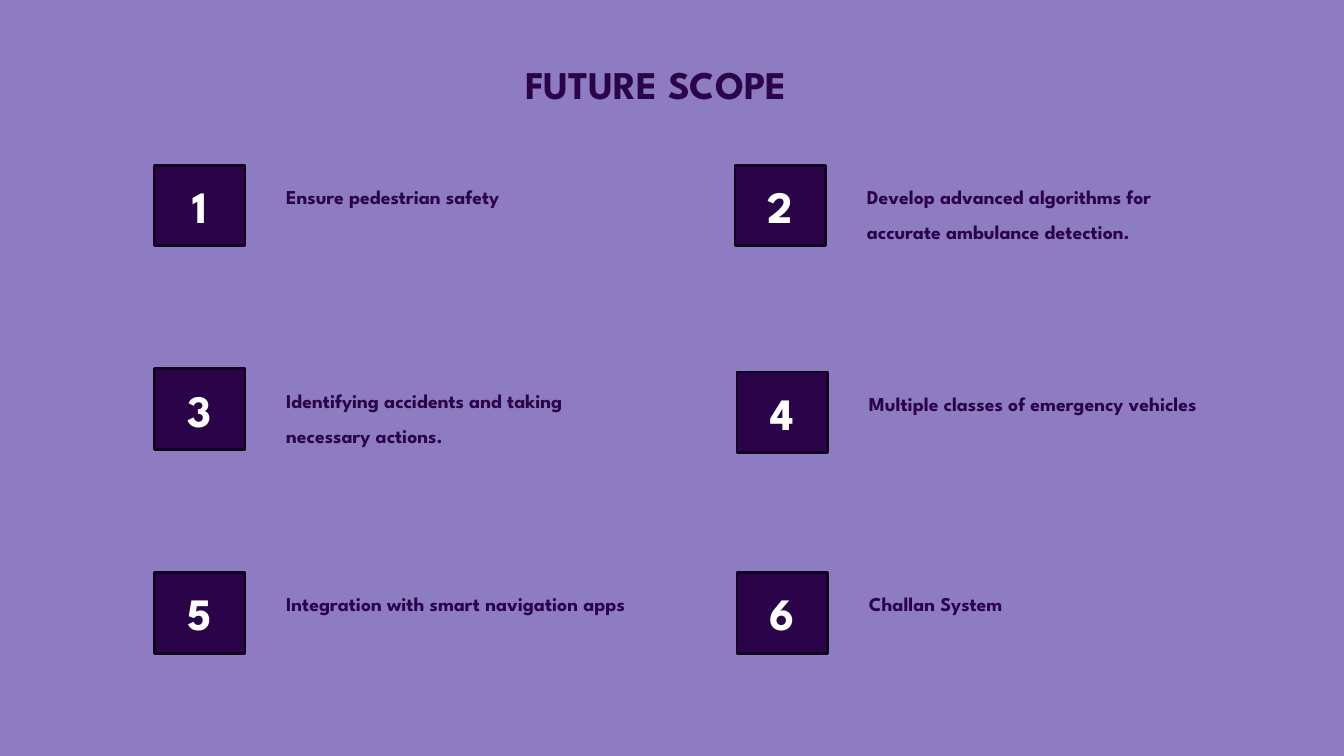
"""Build the future scope slide."""
from dataclasses import dataclass
from typing import Any

from pptx import Presentation
from pptx.dml.color import RGBColor
from pptx.enum.shapes import MSO_SHAPE
from pptx.enum.text import MSO_ANCHOR, MSO_AUTO_SIZE, PP_ALIGN
from pptx.slide import Slide
from pptx.util import Emu, Pt

RECTANGLE = MSO_SHAPE.RECTANGLE
TOP, MIDDLE = MSO_ANCHOR.TOP, MSO_ANCHOR.MIDDLE
NO_FIT, GROW = MSO_AUTO_SIZE.NONE, MSO_AUTO_SIZE.SHAPE_TO_FIT_TEXT
LEFT, CENTER = PP_ALIGN.LEFT, PP_ALIGN.CENTER

EMU_PER_PX = 9144
COLORS = {"background": "8E7CC3", "ink": "2B0348", "outline": "130120", "number": "FFFFFF"}
FONT = "League Spartan"
COLUMN_LEFTS = (153, 731)
FIRST_ROW_TOP, ROW_PITCH = 164, 202
BADGE_WIDTH, BADGE_HEIGHT = 90, 80
LABEL_OFFSET_X, LABEL_OFFSET_Y = 106, 3
LABEL_INDENT = 15


@dataclass(frozen=True)
class Goal:
    """A numbered goal with its label size and its shift from the grid."""

    text: str
    label_width: int
    label_height: int
    shift_x: int = 0
    shift_y: int = 0


GOALS = (
    Goal("Ensure pedestrian safety", 313, 41),
    Goal("Develop advanced algorithms for accurate ambulance detection.", 377, 76, shift_x=-2),
    Goal("Identifying accidents and taking necessary actions.", 313, 76),
    Goal("Multiple classes of emergency vehicles", 377, 76, shift_y=3),
    Goal("Integration with smart navigation apps", 392, 76),
    Goal("Challan System", 392, 41),
)


def px(length: int) -> Emu:
    """Turn a length in px into EMU."""
    return Emu(length * EMU_PER_PX)


def color(name: str) -> RGBColor:
    """Look up a named colour."""
    return RGBColor.from_string(COLORS[name])


def write_text(shape: Any, text: str, size: int, color_name: str,
               frame_format: dict[str, Any], paragraph_format: dict[str, Any]) -> Any:
    """Write one bold paragraph into a shape and return it."""
    frame = shape.text_frame
    frame.text = text
    paragraph = frame.paragraphs[0]
    font_format = {"name": FONT, "size": Pt(size), "bold": True}
    for target, values in ((frame, {"word_wrap": True, **frame_format}),
                           (paragraph, paragraph_format),
                           (paragraph.runs[0].font, font_format)):
        for name, value in values.items():
            setattr(target, name, value)
    paragraph.runs[0].font.color.rgb = color(color_name)
    return paragraph


def add_title(slide: Slide) -> None:
    """Place and format the title placeholder."""
    title = slide.shapes.title
    place = {"left": 372, "top": 60, "width": 557, "height": 108}
    for name, length in place.items():
        setattr(title, name, px(length))
    write_text(title, "FUTURE SCOPE", 28, "ink",
               {"vertical_anchor": TOP, "auto_size": NO_FIT},
               {"alignment": CENTER, "line_spacing": 0.9})


def add_goal(slide: Slide, index: int, goal: Goal) -> None:
    """Draw a numbered badge and its label as one group."""
    row, column = divmod(index, len(COLUMN_LEFTS))
    left = COLUMN_LEFTS[column] + goal.shift_x
    top = FIRST_ROW_TOP + row * ROW_PITCH + goal.shift_y
    group = slide.shapes.add_group_shape()

    badge = group.shapes.add_shape(RECTANGLE, px(left), px(top), px(BADGE_WIDTH), px(BADGE_HEIGHT))
    badge.shadow.inherit = False
    badge.fill.solid()
    badge.fill.fore_color.rgb = color("ink")
    badge.line.color.rgb = color("outline")
    badge.line.width = Pt(2)
    write_text(badge, str(index + 1), 32, "number",
               {"vertical_anchor": MIDDLE}, {"alignment": CENTER})

    label = group.shapes.add_textbox(px(left + LABEL_OFFSET_X), px(top + LABEL_OFFSET_Y),
                                     px(goal.label_width), px(goal.label_height))
    paragraph = write_text(label, goal.text, 14, "ink", {"auto_size": GROW},
                           {"alignment": LEFT, "line_spacing": 1.5})
    paragraph._p.get_or_add_pPr().set("marL", str(px(LABEL_INDENT)))


def main() -> None:
    """Build and save the presentation."""
    presentation = Presentation()
    presentation.slide_width = px(1333)
    presentation.slide_height = px(750)
    slide = presentation.slides.add_slide(presentation.slide_layouts[5])
    slide.background.fill.solid()
    slide.background.fill.fore_color.rgb = color("background")
    add_title(slide)
    for index, goal in enumerate(GOALS):
        add_goal(slide, index, goal)
    presentation.save("out.pptx")


if __name__ == "__main__":
    main()
